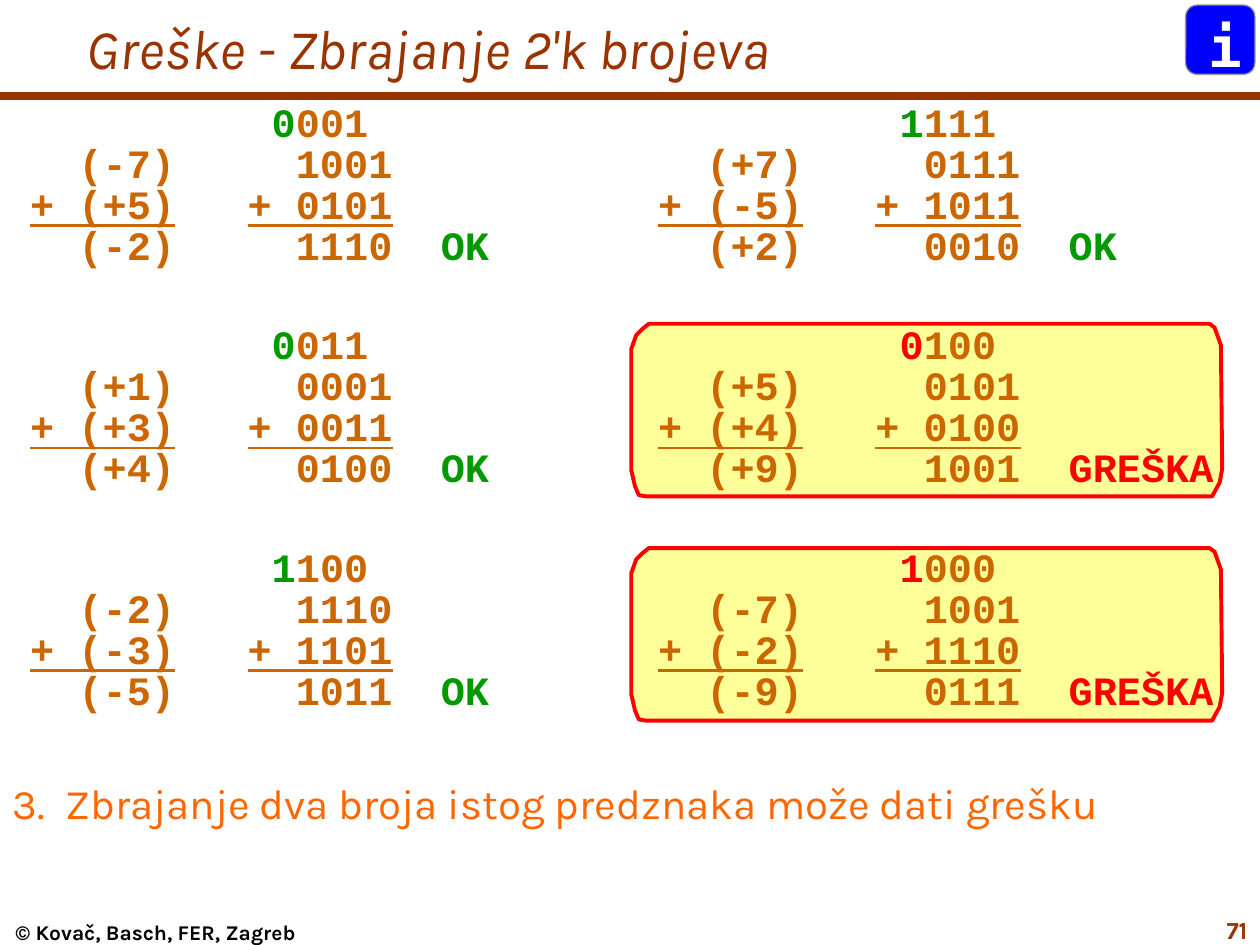
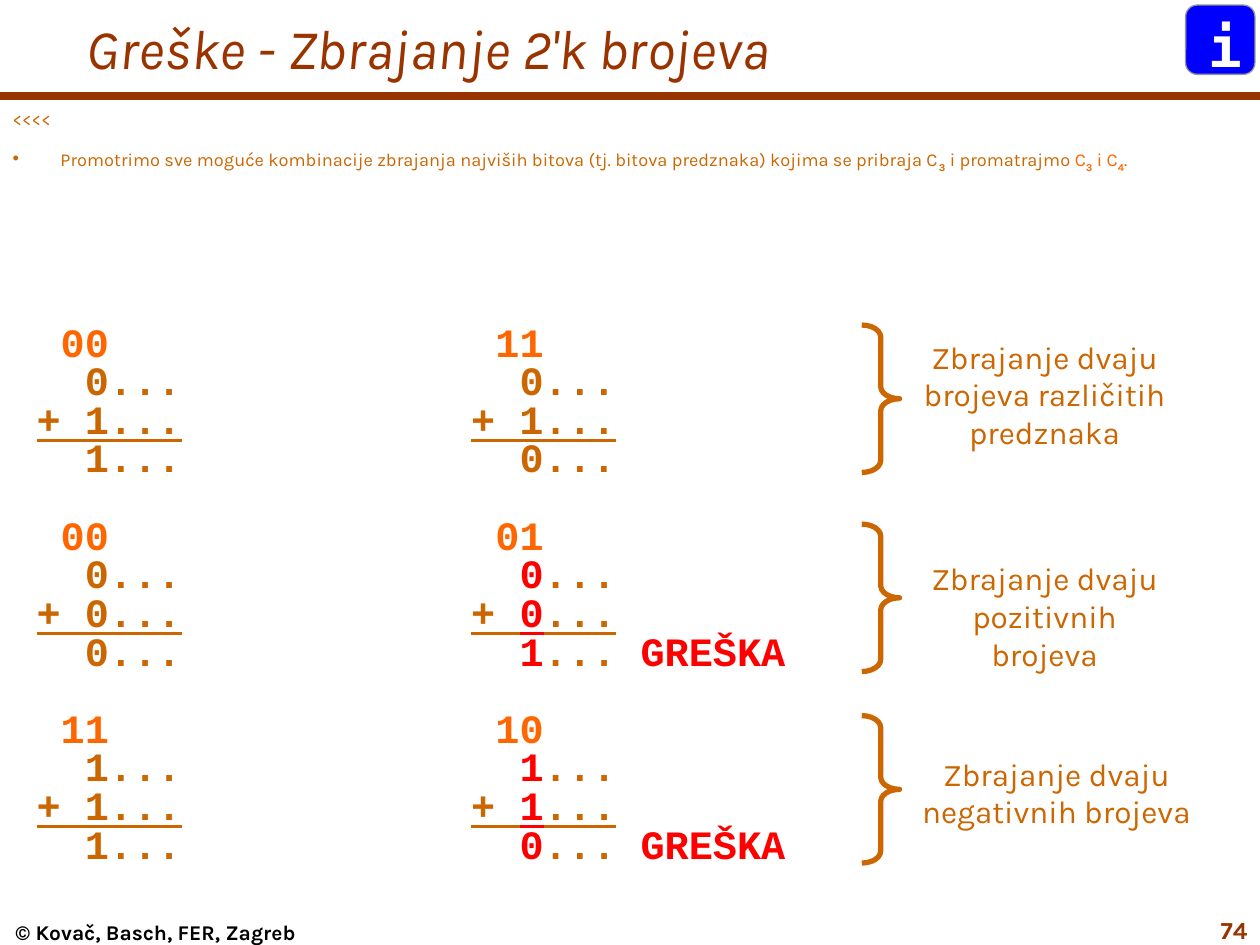
from lxml import etree
from pptx import Presentation
from pptx.dml.color import RGBColor
from pptx.enum import shapes, text
from pptx.oxml.ns import qn
from pptx.util import Inches, Pt

BROWN = RGBColor(0x99, 0x33, 0x00)
OCHRE = RGBColor(0xCC, 0x66, 0x00)
ORANGE = RGBColor(0xFF, 0x66, 0x00)
GREEN = RGBColor(0x00, 0x99, 0x00)
RED = RGBColor(0xFF, 0x00, 0x00)
YELLOW = RGBColor(0xFF, 0xFF, 0x99)
BLUE = RGBColor(0x00, 0x00, 0xFF)
GREY = RGBColor(0x96, 0x96, 0x96)
WHITE = RGBColor(0xFF, 0xFF, 0xFF)
BLACK = RGBColor(0x00, 0x00, 0x00)

SANS, MONO, ICON_FONT = "Karla", "Courier New", "DejaVu Sans Mono"
DIGIT_SIZE = 23
CELL = Pt(DIGIT_SIZE * 0.6)  # width of one monospaced character
TITLE = "Greške - Zbrajanje 2'k brojeva"
FOOTER = "© Kovač, Basch, FER, Zagreb"


def add_run(p, words, size=18, color=OCHRE, name=SANS, bold=False,
            italic=False, underline=False, subscript=False):
    r = p.add_run()
    r.text = words
    f = r.font
    f.size, f.name, f.bold, f.italic = Pt(size), name, bold, italic
    f.underline = underline
    f.color.rgb = color
    if subscript:
        f._element.set("baseline", "-25000")
    return r


class Deck:
    def __init__(self):
        self.prs = Presentation()
        self.prs.slide_width, self.prs.slide_height = Inches(10), Inches(7.5)
        self.s = None

    def new_slide(self, number):
        """Start a slide with title, rule, footer, icon and page number."""
        self.s = self.prs.slides.add_slide(self.prs.slide_layouts[1])
        tf = self.place(self.s.shapes.title, 0.59, 0, 9.41, 0.75)
        tf.vertical_anchor = text.MSO_ANCHOR.MIDDLE
        p = tf.paragraphs[0]
        p.alignment = text.PP_ALIGN.LEFT
        add_run(p, TITLE, size=32, color=BROWN, italic=True)
        self.rule(0.76)
        self.text(FOOTER, 0, 7.3, 2.47, 0.2, align="CENTER", inset=0,
                  size=12, color=BLACK, bold=True)
        icon = self.s.shapes.add_shape(
            shapes.MSO_SHAPE.ROUNDED_RECTANGLE,
            Inches(9.41), Inches(0.04), Inches(0.55), Inches(0.55))
        self.paint(icon, BLUE, GREY, 0.75)
        self.text("i", 9.49, 0.04, 0.39, 0.64, size=32, color=WHITE,
                  name=ICON_FONT, bold=True)
        self.text(number, 9.17, 7.21, 0.83, 0.28, align="RIGHT",
                  size=14, color=BROWN, bold=True)

    def place(self, sp, x, y, w, h, inset=0.1):
        sp.left, sp.top, sp.width, sp.height = map(Inches, (x, y, w, h))
        tf = sp.text_frame
        tf.word_wrap = True
        tf.auto_size = text.MSO_AUTO_SIZE.NONE
        tf.margin_left = tf.margin_right = Inches(inset)
        tf.margin_top = tf.margin_bottom = Inches(0.05)
        return tf

    def box(self, x, y, w, h, inset=0.1):
        sp = self.s.shapes.add_textbox(0, 0, 0, 0)
        return self.place(sp, x, y, w, h, inset)

    def text(self, words, x, y, w, h, align="LEFT", inset=0.1, **fmt):
        tf = self.box(x, y, w, h, inset)
        if not inset:
            tf.margin_top = tf.margin_bottom = 0
        p = tf.paragraphs[0]
        p.alignment = text.PP_ALIGN[align]
        add_run(p, words, **fmt)

    def body(self, x, y, w, h):
        return self.place(self.s.placeholders[1], x, y, w, h)

    def item(self, p, hang, bullet=False, before=0, spacing=1.0):
        """Give a body paragraph its hanging indent and bullet."""
        pPr = p._p.get_or_add_pPr()
        pPr.set("marL", str(Inches(hang)))
        pPr.set("indent", str(-Inches(hang)))
        if bullet:
            clr = etree.SubElement(pPr, qn("a:buClr"))
            etree.SubElement(clr, qn("a:srgbClr"), val=str(OCHRE))
            etree.SubElement(pPr, qn("a:buChar"), char="•")
        else:
            etree.SubElement(pPr, qn("a:buNone"))
        p.space_before, p.line_spacing = Pt(before), spacing

    def lines(self, tf, rows, spacing, gap):
        """Write groups of lines; a line is a list of (column, runs, underline)."""
        p = None
        for group in rows:
            for i, line in enumerate(group):
                first = p is None
                p = tf.paragraphs[0] if first else tf.add_paragraph()
                p.line_spacing = spacing
                p.space_before = Pt(gap if i == 0 and not first else 0)
                tabs = etree.SubElement(p._p.get_or_add_pPr(), qn("a:tabLst"))
                for column, runs, underline in line:
                    if column:
                        etree.SubElement(tabs, qn("a:tab"),
                                         pos=str(column * CELL), algn="l")
                        add_run(p, "\t", size=DIGIT_SIZE, name=MONO, bold=True)
                    for words, color in runs:
                        add_run(p, words, size=DIGIT_SIZE, color=color,
                                name=MONO, bold=True, underline=underline)

    def paint(self, sp, fill, line, width):
        sp.shadow.inherit = False
        if fill is None:
            sp.fill.background()
        else:
            sp.fill.solid()
            sp.fill.fore_color.rgb = fill
        sp.line.color.rgb, sp.line.width = line, Pt(width)

    def rule(self, y):
        line = self.s.shapes.add_connector(
            shapes.MSO_CONNECTOR.STRAIGHT, 0, Inches(y), Inches(10), Inches(y))
        line.line.color.rgb, line.line.width = BROWN, Pt(4.5)
        etree.SubElement(line._element.spPr, qn("a:effectLst"))

    def error_frame(self, x, y):
        outline = [(0.14, 0), (4.59, 0), (4.63, 0.03), (4.68, 0.17),
                   (4.69, 1.15), (4.67, 1.26), (4.61, 1.37), (0.12, 1.37),
                   (0.06, 1.36), (0.03, 1.29), (0, 1.16), (0, 0.2),
                   (0.04, 0.09), (0.09, 0.04)]
        points = [(Inches(x + dx), Inches(y + dy)) for dx, dy in outline]
        fb = self.s.shapes.build_freeform(*points[0])
        fb.add_line_segments(points[1:], close=True)
        self.paint(fb.convert_to_shape(), YELLOW, RED, 2.25)

    def brace(self, x, y):
        sp = self.s.shapes.add_shape(
            shapes.MSO_SHAPE.RIGHT_BRACE,
            Inches(x), Inches(y), Inches(0.3), Inches(1.17))
        sp.adjustments[0] = 0.32
        self.paint(sp, None, OCHRE, 3)


def full_sum(start, carry, a, a_bits, b, b_bits, total, total_bits, wrong, mark):
    """Four lines of a sum shown in decimal and in binary."""
    def pair(decimal, bits, *more):
        return [(start + 2, [(f"({decimal})", OCHRE)], False),
                (start + 11, [(bits, OCHRE)], False), *more]

    color, verdict = (RED, "GREŠKA") if wrong else (GREEN, "OK")
    return [
        [(start + 10, [(carry[0], mark), (carry[1:], OCHRE)], False)],
        pair(a, a_bits),
        [(start, [(f"+ ({b})", OCHRE)], True),
         (start + 9, [(f"+ {b_bits}", OCHRE)], True)],
        pair(total, total_bits, (start + 17, [(verdict, color)], False)),
    ]


def sign_sum(start, carry, a, b, total, wrong):
    """Four lines of a sum of the highest bits."""
    color = RED if wrong else OCHRE
    rest = ("...", OCHRE)
    end = [("... ", OCHRE), ("GREŠKA", RED)] if wrong else [rest]
    return [
        [(start + 1, [(carry, ORANGE)], False)],
        [(start + 2, [(a, color), rest], False)],
        [(start, [("+ ", OCHRE), (b, color), rest], True)],
        [(start + 2, [(total, color), *end], False)],
    ]


def side_by_side(left, right):
    return [a + b for a, b in zip(left, right)]


def sums_slide(deck):
    deck.new_slide("71")
    for y in (2.57, 4.35):
        deck.error_frame(5.01, y)

    # Sums in two columns
    sums = [
        (("0001", "-7", "1001", "+5", "0101", "-2", "1110", False),
         ("1111", "+7", "0111", "-5", "1011", "+2", "0010", False)),
        (("0011", "+1", "0001", "+3", "0011", "+4", "0100", False),
         ("0100", "+5", "0101", "+4", "0100", "+9", "1001", True)),
        (("1100", "-2", "1110", "-3", "1101", "-5", "1011", False),
         ("1000", "-7", "1001", "-2", "1110", "-9", "0111", True)),
    ]
    rows = [side_by_side(*(full_sum(start, *data, RED if data[-1] else GREEN)
                           for start, data in zip((0, 26), row)))
            for row in sums]
    deck.lines(deck.box(0.24, 0.78, 9.56, 4.94, inset=0), rows, 0.85, 33.4)

    # Conclusion
    p = deck.body(0, 6.12, 10, 0.5).paragraphs[0]
    deck.item(p, 0.42)
    add_run(p, "3.\tZbrajanje dva broja istog predznaka može dati grešku",
            size=24, color=ORANGE)


def signs_slide(deck):
    deck.new_slide("74")

    # Introduction
    tf = deck.body(0, 0.84, 10, 0.84)
    p = tf.paragraphs[0]
    deck.item(p, 0.38, spacing=0.8)
    add_run(p, "<<<<", size=10.4)
    p = tf.add_paragraph()
    deck.item(p, 0.38, bullet=True, before=12, spacing=0.8)
    for words, color, subscript in [
            ("Promotrimo sve moguće kombinacije zbrajanja najviših bitova "
             "(tj. bitova predznaka) kojima se pribraja C", OCHRE, False),
            ("3", OCHRE, True), (" i promatrajmo ", OCHRE, False),
            ("C", ORANGE, False), ("3", ORANGE, True),
            (" i C", ORANGE, False), ("4", ORANGE, True),
            (".", OCHRE, False)]:
        add_run(p, words, size=10.4, color=color, bold=subscript,
                subscript=subscript)

    # Sums of the sign bits
    sums = [
        (("00", "0", "1", "1", False), ("11", "0", "1", "0", False)),
        (("00", "0", "0", "0", False), ("01", "0", "0", "1", True)),
        (("11", "1", "1", "1", False), ("10", "1", "1", "0", True)),
    ]
    rows = [side_by_side(sign_sum(0, *left), sign_sum(18, *right))
            for left, right in sums]
    deck.lines(deck.box(0.29, 2.54, 6.23, 4.39, inset=0), rows, 0.8, 22.1)

    # Braces with their labels
    for brace_y, label_y, w, h, words in [
            (2.58, 2.63, 2.24, 1, "Zbrajanje dvaju brojeva različitih predznaka"),
            (4.16, 4.39, 2.24, 1, "Zbrajanje dvaju pozitivnih brojeva"),
            (5.68, 5.94, 2.43, 0.7, "Zbrajanje dvaju negativnih brojeva")]:
        deck.brace(6.84, brace_y)
        deck.text(words, 7.17, label_y, w, h, align="CENTER")


def main():
    deck = Deck()
    sums_slide(deck)
    signs_slide(deck)
    deck.prs.save("out.pptx")


if __name__ == "__main__":
    main()
